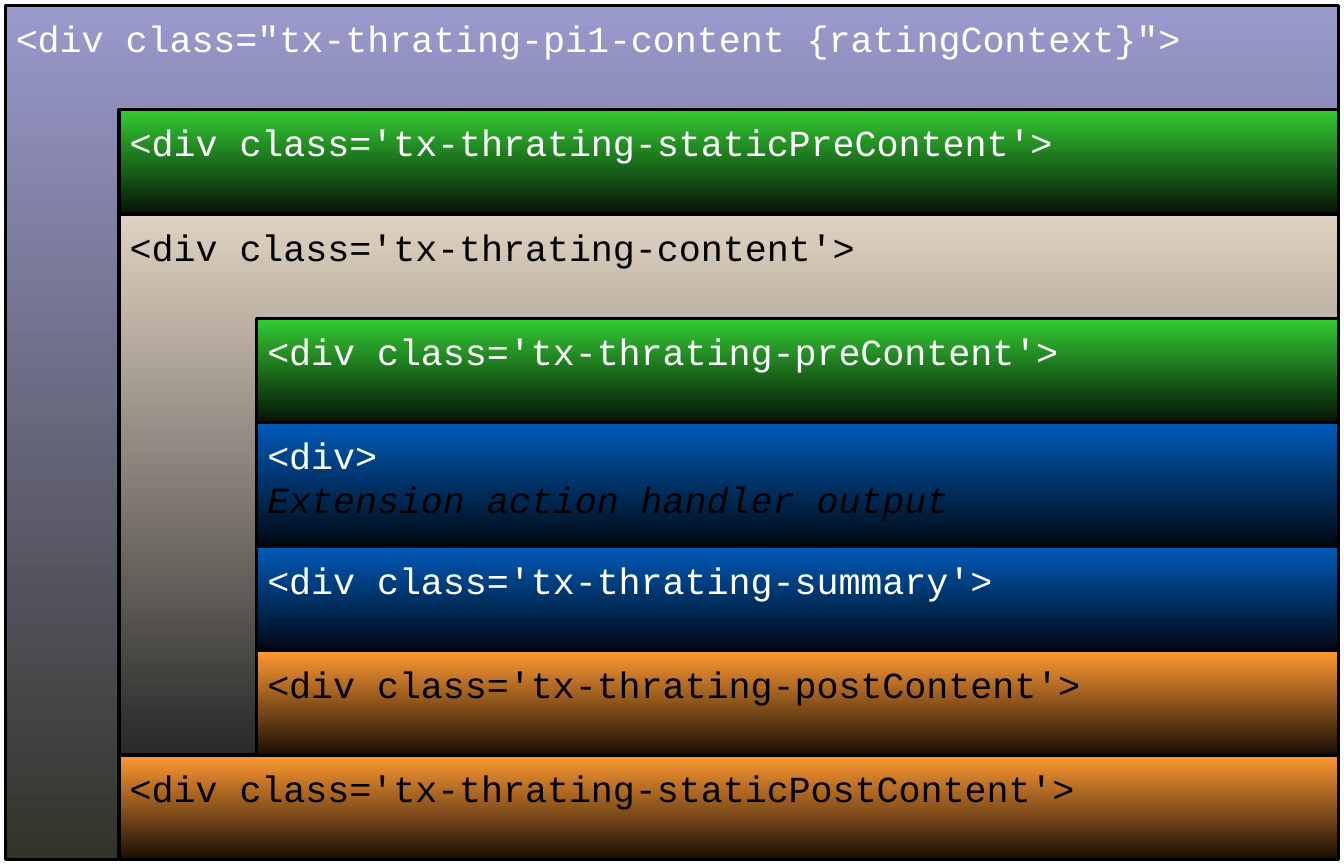
from pptx import Presentation
from pptx.dml.color import RGBColor
from pptx.enum.shapes import MSO_SHAPE
from pptx.enum.text import MSO_ANCHOR, PP_ALIGN
from pptx.util import Inches, Pt

WHITE, BLACK = "FFFFFF", "000000"

# Style: gradient top, gradient bottom, text colour
STYLES = {
    "outer": ("9999CC", "33332A", WHITE),
    "content": ("DFD2C1", "292929", BLACK),
    "pre": ("33CC33", "051305", WHITE),
    "main": ("005BBB", "000811", WHITE),
    "post": ("FF9933", "180E05", BLACK),
}
NOTE = "Extension action handler output"

# Nesting level, style, rows spanned, tag, note; each box starts one row lower
BOXES = [
    (0, "outer", 8, "<div class=\"tx-thrating-pi1-content {ratingContext}\">", None),
    (1, "pre", 1, "<div class='tx-thrating-staticPreContent'>", None),
    (1, "content", 5, "<div class='tx-thrating-content'>", None),
    (2, "pre", 1, "<div class='tx-thrating-preContent'>", None),
    (2, "main", 1, "<div>", NOTE),
    (2, "main", 1, "<div class='tx-thrating-summary'>", None),
    (2, "post", 1, "<div class='tx-thrating-postContent'>", None),
    (1, "post", 1, "<div class='tx-thrating-staticPostContent'>", None),
]

WIDTH, HEIGHT, EDGE = 5.08, 3.27, 0.02
LEFTS = (EDGE, 0.45, 0.97)
LINES = (0.75, 1, 0.75)
TALL = 0.47  # row that holds a note
ROW = (HEIGHT - 2 * EDGE - TALL) / (len(BOXES) - 1)


def rgb(code):
    return RGBColor.from_string(code)


def write(para, text, color, size=10, font="Courier New", italic=False):
    para.alignment = PP_ALIGN.LEFT
    run = para.add_run()
    run.text = text
    run.font.name = font
    run.font.size = Pt(size)
    run.font.italic = italic
    run.font.color.rgb = rgb(color)


def add_box(shapes, left, top, height, style, line):
    """Add a bordered box that reaches the right edge, filled from top to bottom."""
    box = shapes.add_shape(
        MSO_SHAPE.RECTANGLE, Inches(left), Inches(top),
        Inches(WIDTH - EDGE - left), Inches(height))
    box.shadow.inherit = False
    box.fill.gradient()
    box.fill.gradient_angle = 270
    for stop, code in zip(box.fill.gradient_stops, style):
        stop.color.rgb = rgb(code)
    box.line.color.rgb = rgb(BLACK)
    box.line.width = Pt(line)
    frame = box.text_frame
    frame.word_wrap = True
    frame.vertical_anchor = MSO_ANCHOR.TOP
    frame.margin_left = frame.margin_right = Inches(0.04)
    frame.margin_top = frame.margin_bottom = Inches(0.04)
    return frame


def main():
    deck = Presentation()
    deck.slide_width, deck.slide_height = Inches(WIDTH), Inches(HEIGHT)
    slide = deck.slides.add_slide(deck.slide_layouts[6])
    group = slide.shapes.add_group_shape()

    rows = [TALL if note else ROW for *_, note in BOXES]
    for index, (level, name, span, tag, note) in enumerate(BOXES):
        style = STYLES[name]
        top = EDGE + sum(rows[:index])
        height = sum(rows[index:index + span])
        frame = add_box(group.shapes, LEFTS[level], top, height, style, LINES[level])
        write(frame.paragraphs[0], tag, style[2])
        if note:
            write(frame.add_paragraph(), note, BLACK, italic=True)

    deck.save("out.pptx")


if __name__ == "__main__":
    main()
